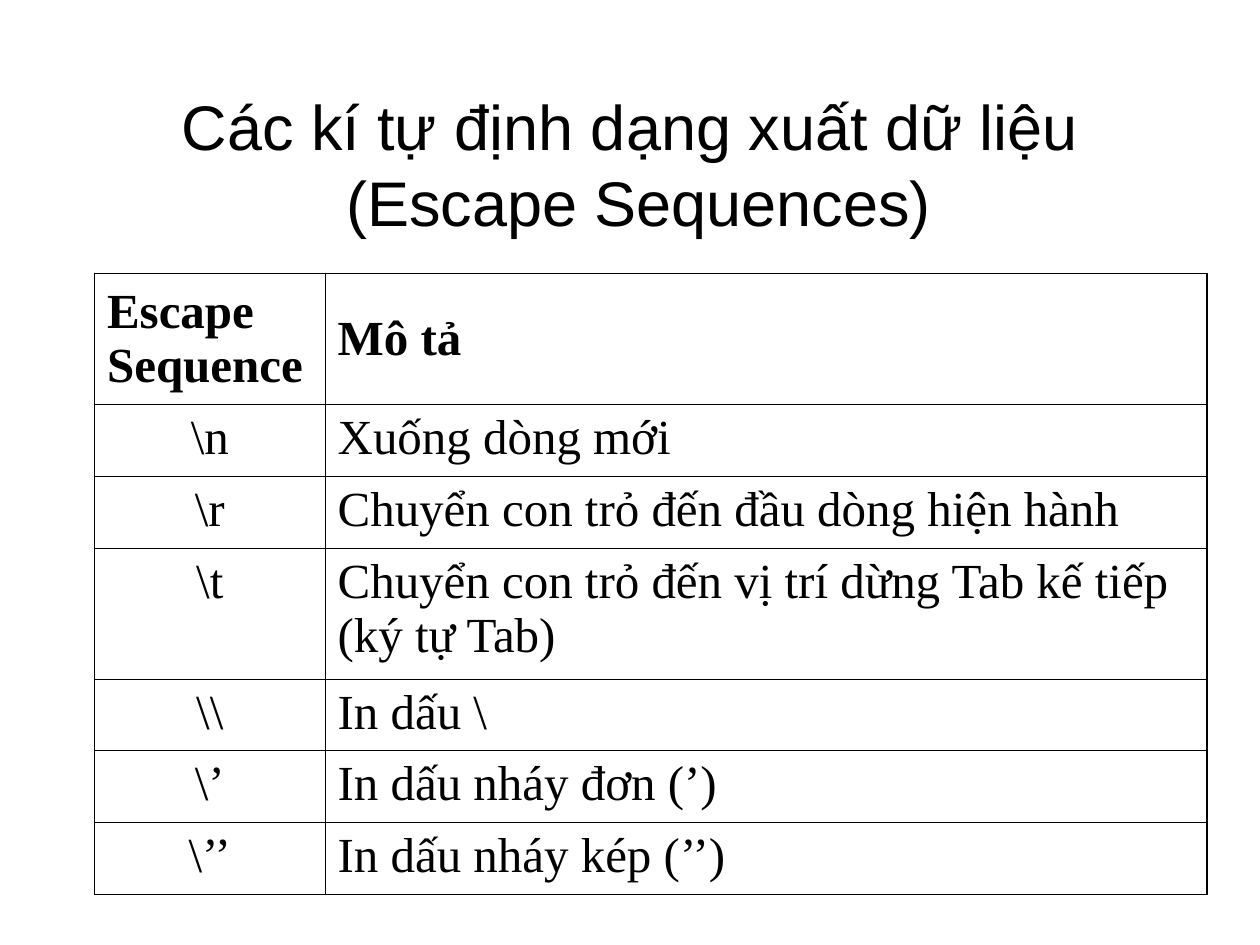
from dataclasses import dataclass

from lxml.etree import SubElement
from pptx import Presentation
from pptx.dml.color import RGBColor
from pptx.enum.text import MSO_ANCHOR as Anchor, PP_ALIGN as Align
from pptx.oxml.ns import qn
from pptx.slide import Slide
from pptx.util import Inches, Pt

ROWS = [
    ("Escape Sequence", "Mô tả"),
    (r"\n", "Xuống dòng mới"),
    (r"\r", "Chuyển con trỏ đến đầu dòng hiện hành"),
    (r"\t", "Chuyển con trỏ đến vị trí dừng Tab kế tiếp (ký tự Tab)"),
    (r"\\", "In dấu \\"),
    (r"\’", "In dấu nháy đơn (’)"),
    (r"\’’", "In dấu nháy kép (’’)"),
]
COLUMN_WIDTHS = [1.83, 7]
SINGLE, DOUBLE = 0.57, 1.04
ROW_HEIGHTS = [DOUBLE, SINGLE, SINGLE, DOUBLE, SINGLE, SINGLE, SINGLE]


def color(value):
    return RGBColor.from_string(value)


@dataclass
class SlideBuilder:
    """Holds the style and the current slide, and adds its elements."""

    page: Slide
    ink: str = "000000"
    title_font: str = "Arial"
    table_font: str = "Times New Roman"
    outer_line: float = 1.08
    inner_line: float = 0.45

    def format_runs(self, para, font, size, bold=False):
        for span in para.runs:
            span.font.name = font
            span.font.size = Pt(size)
            span.font.bold = bold
            span.font.color.rgb = color(self.ink)

    def title(self, text, left, top, width, height):
        box = self.page.shapes.title
        box.left, box.top = Inches(left), Inches(top)
        box.width, box.height = Inches(width), Inches(height)
        frame = box.text_frame
        frame.text = text
        frame.word_wrap = True
        frame.vertical_anchor = Anchor.MIDDLE
        para = frame.paragraphs[0]
        para.alignment = Align.CENTER
        self.format_runs(para, self.title_font, 36)

    def borders(self, cell, outer_sides):
        properties = cell._tc.get_or_add_tcPr()
        for side in "LRTB":
            width = self.outer_line if side in outer_sides else self.inner_line
            line = SubElement(properties, qn(f"a:ln{side}"), w=str(Pt(width)))
            fill = SubElement(line, qn("a:solidFill"))
            SubElement(fill, qn("a:srgbClr"), val=self.ink)

    def cell(self, cell, text, header, centered, outer_sides):
        self.borders(cell, outer_sides)
        cell.fill.background()
        cell.vertical_anchor = Anchor.MIDDLE if header else Anchor.TOP
        cell.text_frame.text = text
        para = cell.text_frame.paragraphs[0]
        para.alignment = Align.CENTER if centered else Align.LEFT
        para.space_before = Pt(7)
        self.format_runs(para, self.table_font, 28, header)

    def table(self, rows, left, top, widths, heights):
        frame = self.page.shapes.add_table(
            len(rows), len(widths), Inches(left), Inches(top),
            Inches(sum(widths)), Inches(sum(heights)))
        table = frame.table
        table.first_row = table.horz_banding = False
        for column, width in zip(table.columns, widths):
            column.width = Inches(width)
        for row, height in zip(table.rows, heights):
            row.height = Inches(height)
        for r, texts in enumerate(rows):
            for c, text in enumerate(texts):
                edges = {"L": c == 0, "R": c == len(widths) - 1,
                         "T": r == 0, "B": r == len(rows) - 1}
                outer_sides = [side for side, outer in edges.items() if outer]
                self.cell(table.cell(r, c), text, r == 0, r > 0 and c == 0, outer_sides)


def main():
    deck = Presentation()
    deck.slide_width, deck.slide_height = Inches(10), Inches(7.5)
    builder = SlideBuilder(deck.slides.add_slide(deck.slide_layouts[5]))
    builder.title("Các kí tự định dạng xuất dữ liệu\v (Escape Sequences)",
                  0.75, 0.67, 8.5, 1.25)
    builder.table(ROWS, 0.75, 2.17, COLUMN_WIDTHS, ROW_HEIGHTS)
    deck.save("out.pptx")


if __name__ == "__main__":
    main()
